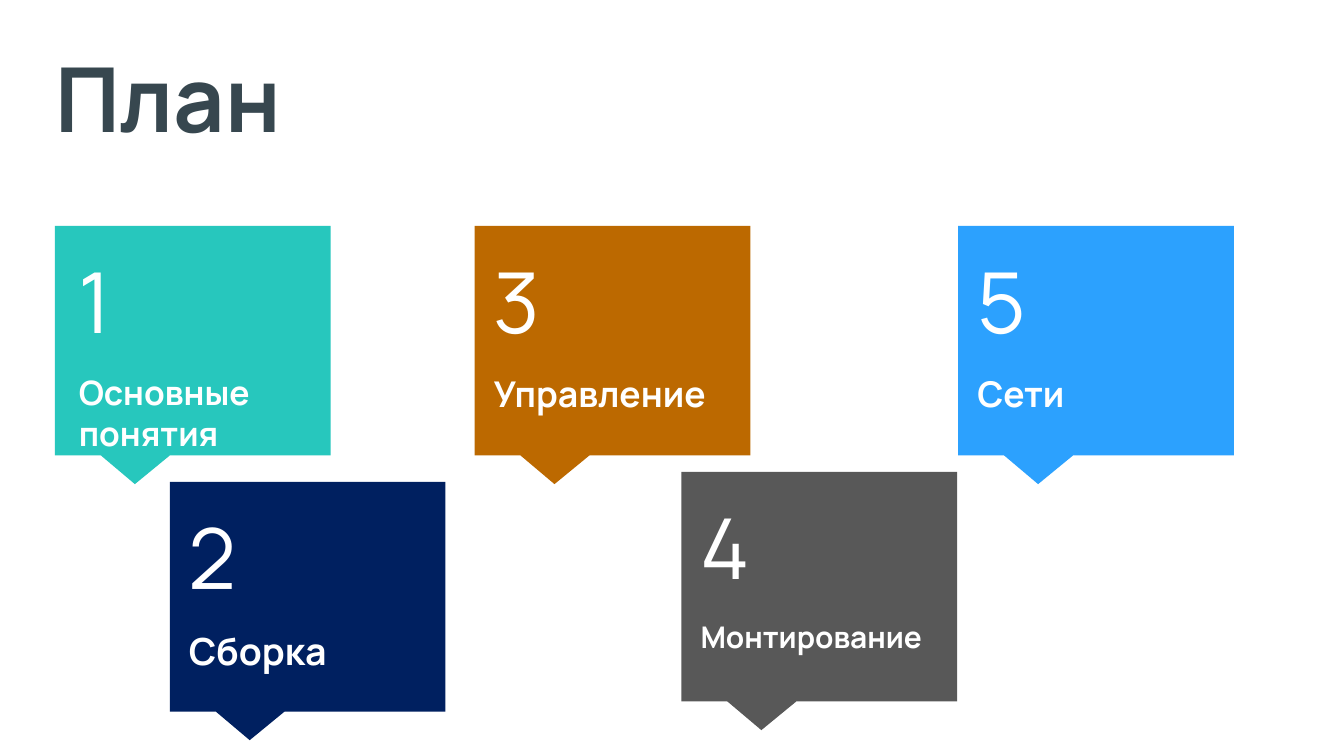
from dataclasses import dataclass

from pptx import Presentation
from pptx.dml.color import RGBColor
from pptx.enum import shapes, text
from pptx.util import Cm, Pt

FONT = "Manrope"
COLORS = {
    "title": "37474F",
    "text": "FFFFFF",
    "teal": "27C7BD",
    "brown": "BC6900",
    "gray": "585858",
    "blue": "2CA1FE",
    "navy": "002060",
}
CARD_WIDTH, CARD_HEIGHT = 5.21, 4.34
TEXT_WIDTH, TEXT_HEIGHT = 5.0, 3.99
TOP_ROW = 4.27


@dataclass
class Card:
    """One plan step; lengths in cm, label size in points."""
    number: int
    label: str
    color: str
    left: float
    top: float
    label_size: int
    text_dx: float = 0.11
    text_dy: float = 0.19


CARDS = [
    Card(1, "Основные понятия", "teal", 1.04, TOP_ROW, 18, text_dx=0.2),
    Card(3, "Управление", "brown", 8.97, TOP_ROW, 19),
    Card(4, "Монтирование", "gray", 12.88, 8.92, 16),
    Card(5, "Сети", "blue", 18.11, TOP_ROW, 19),
    Card(2, "Сборка", "navy", 3.21, 9.11, 20),
]


def rgb(name: str) -> RGBColor:
    return RGBColor.from_string(COLORS[name])


def set_frame(tf) -> None:
    tf.word_wrap = True
    tf.auto_size = text.MSO_AUTO_SIZE.NONE
    tf.vertical_anchor = text.MSO_ANCHOR.TOP
    tf.margin_left = tf.margin_right = Cm(0.25)
    tf.margin_top = tf.margin_bottom = Cm(0.25)


def set_paragraph(p, words: str, size: int, color: str, bold: bool = False) -> None:
    p.text = words
    p.alignment = text.PP_ALIGN.LEFT
    p.space_before = Pt(0)
    p.font.name = FONT
    p.font.size = Pt(size)
    p.font.bold = bold
    p.font.color.rgb = rgb(color)


def draw_title(s, words: str) -> None:
    sp = s.shapes.title
    sp.left, sp.top, sp.width, sp.height = Cm(0.79), Cm(0.56), Cm(23.95), Cm(2.82)
    set_frame(sp.text_frame)
    set_paragraph(sp.text_frame.paragraphs[0], words, 48, "title", bold=True)


def draw_card(s, card: Card) -> None:
    sp = s.shapes.add_shape(
        shapes.MSO_SHAPE.RECTANGULAR_CALLOUT,
        Cm(card.left), Cm(card.top), Cm(CARD_WIDTH), Cm(CARD_HEIGHT))
    sp.adjustments[0], sp.adjustments[1] = -0.21, 0.625
    sp.shadow.inherit = False
    sp.fill.solid()
    sp.fill.fore_color.rgb = rgb(card.color)
    sp.line.fill.background()

    box = s.shapes.add_textbox(
        Cm(card.left + card.text_dx), Cm(card.top + card.text_dy),
        Cm(TEXT_WIDTH), Cm(TEXT_HEIGHT))
    tf = box.text_frame
    set_frame(tf)
    set_paragraph(tf.paragraphs[0], str(card.number), 45, "text")
    p = tf.add_paragraph()
    set_paragraph(p, card.label, card.label_size, "text", bold=True)
    p.space_before = Pt(12)


def main() -> None:
    prs = Presentation()
    prs.slide_width, prs.slide_height = Cm(25.4), Cm(14.29)
    s = prs.slides.add_slide(prs.slide_layouts[5])
    draw_title(s, "План")
    for card in CARDS:
        draw_card(s, card)
    prs.save("out.pptx")


if __name__ == "__main__":
    main()
